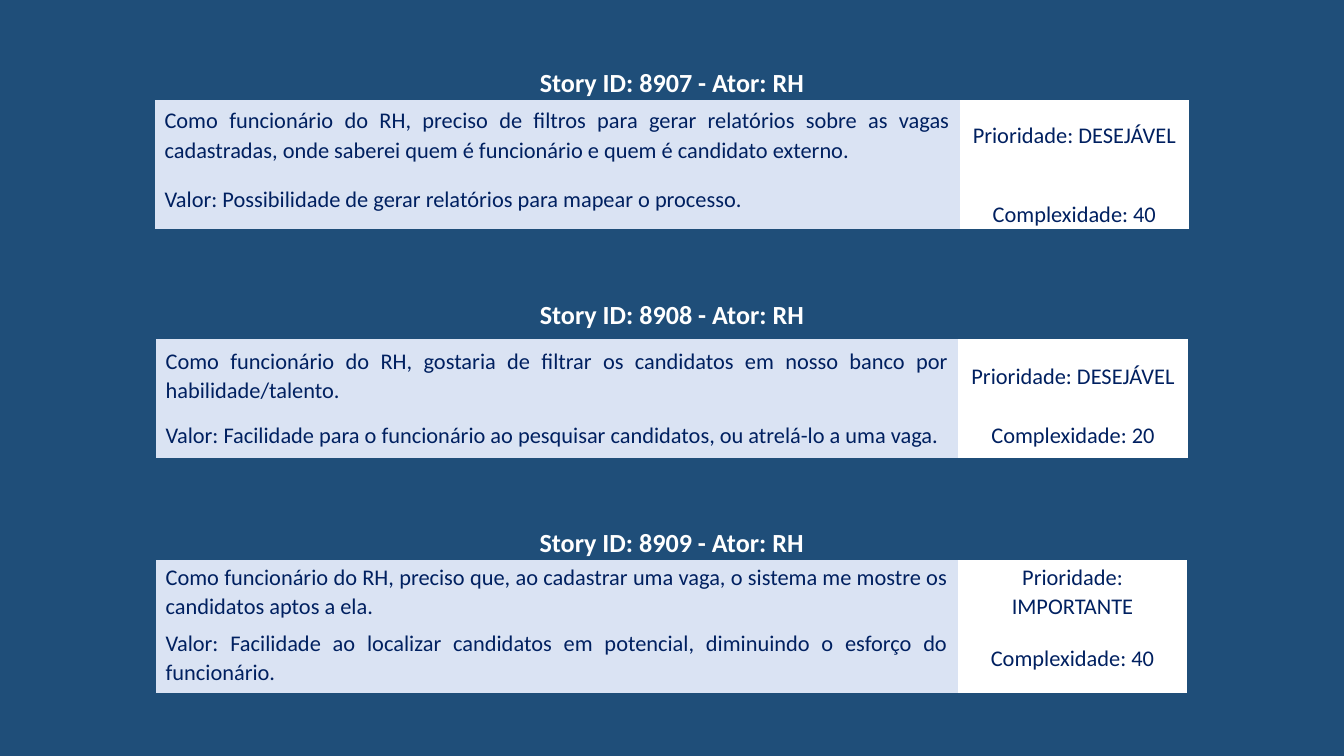
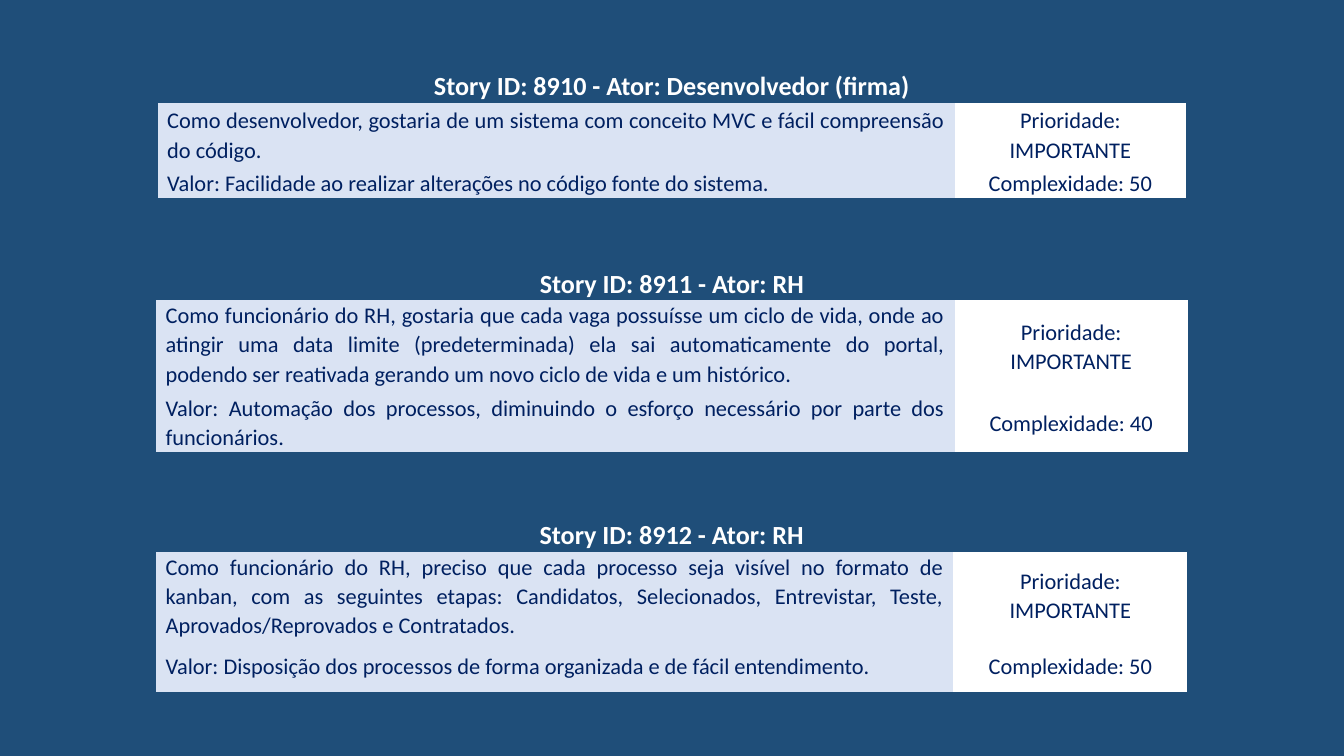
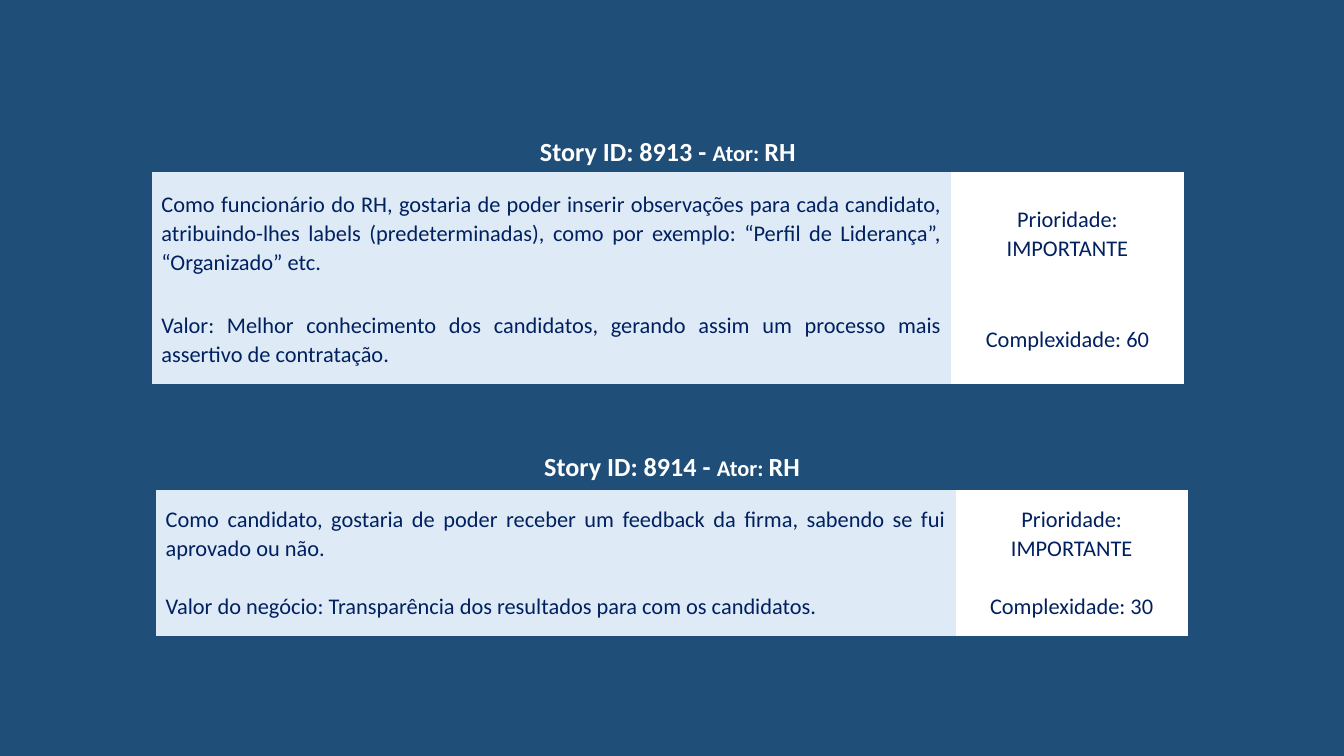
import dataclasses

import pptx
import pptx.dml.color
import pptx.enum.text
import pptx.util

Cm, Pt = pptx.util.Cm, pptx.util.Pt
RGB = pptx.dml.color.RGBColor.from_string
Align = pptx.enum.text.PP_ALIGN
Anchor = pptx.enum.text.MSO_ANCHOR


@dataclasses.dataclass(frozen=True)
class Theme:
    back: str = "1F4E79"
    ink: str = "002060"
    white: str = "FFFFFF"
    pale: str = "DAE3F3"
    ice: str = "DEEBF7"
    font: str = "Calibri"
    head: int = 14
    body: int = 12
    lead: float = 1.07
    pad: float = 0.18
    plain: str = "{2D5ABB26-0587-4C30-8999-92F81FD0307C}"


THEME = Theme()


@dataclasses.dataclass
class Story:
    code: int
    need: str
    value: str
    rank: str
    cost: int
    at: tuple
    cols: tuple
    rows: tuple
    actor: str = "RH"
    small: bool = False  # "Ator:" in the body size
    tint: str = THEME.pale
    text: Anchor = Anchor.MIDDLE
    foot: Anchor = Anchor.MIDDLE


DECK = [
    [
        Story(8907,
              "Como funcionário do RH, preciso de filtros para gerar relatórios sobre as vagas "
              "cadastradas, onde saberei quem é funcionário e quem é candidato externo.",
              "Valor: Possibilidade de gerar relatórios para mapear o processo.",
              "DESEJÁVEL", 40, (2.93, 1.24), (15.21, 4.33), (0.65, 1.32, 1.11),
              foot=Anchor.BOTTOM),
        Story(8908,
              "Como funcionário do RH, gostaria de filtrar os candidatos em nosso banco por "
              "habilidade/talento.",
              "Valor: Facilidade para o funcionário ao pesquisar candidatos, ou atrelá-lo a uma vaga.",
              "DESEJÁVEL", 20, (2.95, 5.49), (15.16, 4.34), (0.91, 1.4, 0.86)),
        Story(8909,
              "Como funcionário do RH, preciso que, ao cadastrar uma vaga, o sistema me mostre os "
              "candidatos aptos a ela.",
              "Valor: Facilidade ao localizar candidatos em potencial, diminuindo o esforço do "
              "funcionário.",
              "IMPORTANTE", 40, (2.95, 9.93), (15.15, 4.34), (0.65, 1.19, 1.32)),
    ],
    [
        Story(8910,
              "Como desenvolvedor, gostaria de um sistema com conceito MVC e fácil compreensão "
              "do código.",
              "Valor: Facilidade ao realizar alterações no código fonte do sistema.",
              "IMPORTANTE", 50, (2.98, 1.29), (15.06, 4.38), (0.65, 1.22, 0.58),
              actor="Desenvolvedor (firma)"),
        Story(8911,
              "Como funcionário do RH, gostaria que cada vaga possuísse um ciclo de vida, onde ao "
              "atingir uma data limite (predeterminada) ela sai automaticamente do portal, podendo "
              "ser reativada gerando um novo ciclo de vida e um histórico.",
              "Valor: Automação dos processos, diminuindo o esforço necessário por parte dos "
              "funcionários.",
              "IMPORTANTE", 40, (2.95, 5.03), (15.09, 4.41), (0.65, 1.75, 1.11),
              text=Anchor.TOP),
        Story(8912,
              "Como funcionário do RH, preciso que cada processo seja visível no formato de kanban, "
              "com as seguintes etapas: Candidatos, Selecionados, Entrevistar, Teste, "
              "Aprovados/Reprovados e Contratados.",
              "Valor: Disposição dos processos de forma organizada e de fácil entendimento.",
              "IMPORTANTE", 50, (2.95, 9.78), (15.07, 4.42), (0.65, 1.66, 0.99)),
    ],
    [
        Story(8913,
              "Como funcionário do RH, gostaria de poder inserir observações para cada candidato, "
              "atribuindo-lhes labels (predeterminadas), como por exemplo: “Perfil de Liderança”, "
              "“Organizado” etc.",
              "Valor: Melhor conhecimento dos candidatos, gerando assim um processo mais assertivo "
              "de contratação.",
              "IMPORTANTE", 60, (2.87, 2.49), (15.11, 4.39), (0.76, 2.31, 1.7),
              small=True, tint=THEME.ice),
        Story(8914,
              "Como candidato, gostaria de poder receber um feedback da firma, sabendo se fui "
              "aprovado ou não.",
              "Valor do negócio: Transparência dos resultados para com os candidatos.",
              "IMPORTANTE", 30, (2.95, 8.38), (15.11, 4.39), (0.89, 1.63, 1.12),
              small=True, tint=THEME.ice),
    ],
]


def write(cell, runs, align, anchor=Anchor.MIDDLE, size=THEME.body, color=THEME.ink,
          bold=False, fill=None):
    """Fill a cell with (text, size or None) runs in one paragraph."""
    cell.margin_left = cell.margin_right = Cm(THEME.pad)
    cell.margin_top = cell.margin_bottom = 0
    cell.vertical_anchor = anchor
    if fill:
        cell.fill.solid()
        cell.fill.fore_color.rgb = RGB(fill)
    else:
        cell.fill.background()
    para = cell.text_frame.paragraphs[0]
    para.alignment = align
    para.line_spacing = THEME.lead
    font = para.font
    font.name, font.size, font.bold = THEME.font, Pt(size), bold
    font.color.rgb = RGB(color)
    for text, own in runs:
        run = para.add_run()
        run.text = text
        if own:
            run.font.size = Pt(own)


def draw(slide, story):
    left, top = story.at
    frame = slide.shapes.add_table(3, 2, Cm(left), Cm(top),
                                   Cm(sum(story.cols)), Cm(sum(story.rows)))
    table = frame.table
    table.first_row = table.horz_banding = False
    table._tbl.tblPr[0].text = THEME.plain
    for col, width in zip(table.columns, story.cols):
        col.width = Cm(width)
    for row, height in zip(table.rows, story.rows):
        row.height = Cm(height)

    table.cell(0, 0).merge(table.cell(0, 1))
    title = [(f"Story ID: {story.code} - ", None),
             ("Ator: ", THEME.body if story.small else None),
             (story.actor, None)]
    write(table.cell(0, 0), title, Align.CENTER, size=THEME.head,
          color=THEME.white, bold=True)

    lines = [(story.need, f"Prioridade: {story.rank}", Anchor.MIDDLE),
             (story.value, f"Complexidade: {story.cost}", story.foot)]
    for row, (text, note, anchor) in enumerate(lines, 1):
        write(table.cell(row, 0), [(text, None)], Align.JUSTIFY, story.text, fill=story.tint)
        write(table.cell(row, 1), [(note, None)], Align.CENTER, anchor, fill=THEME.white)


def main():
    deck = pptx.Presentation()
    deck.slide_width, deck.slide_height = Cm(25.4), Cm(14.29)
    for stories in DECK:
        slide = deck.slides.add_slide(deck.slide_layouts[6])
        slide.background.fill.solid()
        slide.background.fill.fore_color.rgb = RGB(THEME.back)
        for story in stories:
            draw(slide, story)
    deck.save("out.pptx")


if __name__ == "__main__":
    main()
